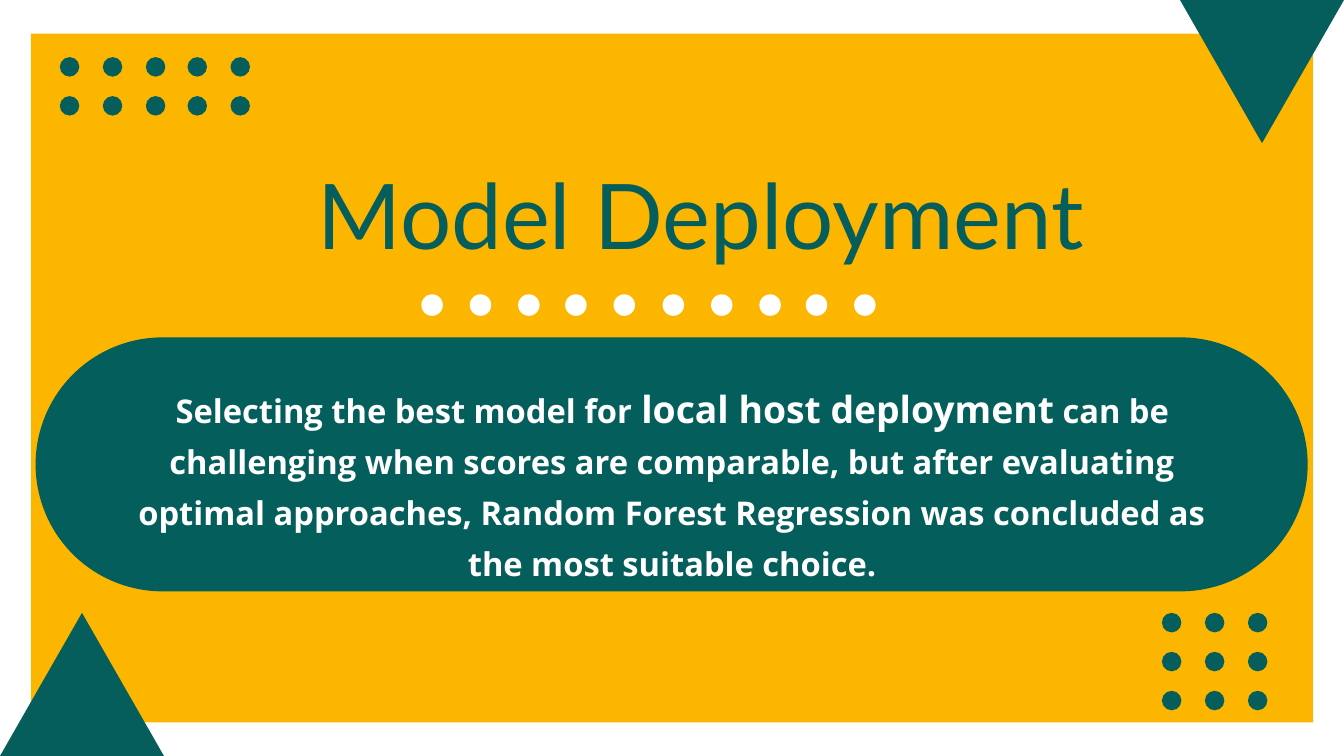
from dataclasses import dataclass

from pptx import Presentation
from pptx.dml.color import RGBColor
from pptx.enum.shapes import MSO_SHAPE
from pptx.enum.text import MSO_ANCHOR, MSO_AUTO_SIZE, PP_ALIGN
from pptx.util import Inches, Pt


@dataclass(frozen=True)
class Theme:
    amber: str = "FDB600"
    teal: str = "055E5C"
    pill: str = "045E5C"
    white: str = "FFFFFF"
    title_font: str = "Lato"
    body_font: str = "Open Sans"
    title_size: int = 97
    body_size: int = 35
    emphasis_size: int = 40


THEME = Theme()


def add_block(s, kind, left, top, width, height, color, rotation=0):
    """Add a plain filled preset shape."""
    sp = s.shapes.add_shape(kind, Inches(left), Inches(top), Inches(width), Inches(height))
    sp.shadow.inherit = False
    sp.fill.solid()
    sp.fill.fore_color.rgb = RGBColor.from_string(color)
    sp.line.fill.background()
    sp.rotation = rotation
    return sp


def add_dots(s, left, top, cols, rows, size, pitch_x, pitch_y, color):
    """Add a grid of round dots."""
    for row in range(rows):
        for col in range(cols):
            add_block(s, MSO_SHAPE.OVAL, left + col * pitch_x, top + row * pitch_y,
                      size, size, color)


def add_run(p, text, *, font, size, color, bold=False):
    """Add one formatted run to a paragraph."""
    r = p.add_run()
    r.text = text
    r.font.name = font
    r.font.size = Pt(size)
    r.font.bold = bold
    r.font.color.rgb = RGBColor.from_string(color)


def prepare_frame(sp, left, top, width, height, line_spacing):
    """Place a text holder and return its centred first paragraph."""
    sp.left, sp.top, sp.width, sp.height = map(Inches, (left, top, width, height))
    tf = sp.text_frame
    tf.margin_left = tf.margin_top = tf.margin_right = tf.margin_bottom = 0
    tf.word_wrap = True
    tf.auto_size = MSO_AUTO_SIZE.NONE
    tf.vertical_anchor = MSO_ANCHOR.TOP
    p = tf.paragraphs[0]
    p.alignment = PP_ALIGN.CENTER
    p.line_spacing = line_spacing
    return p


def add_title(s, text):
    sp = s.shapes.title
    # Bring the title in front of the background panel
    s.shapes._spTree.append(sp._element)
    p = prepare_frame(sp, 3.4, 2.37, 14.05, 1.63, 1.0)
    add_run(p, text, font=THEME.title_font, size=THEME.title_size, color=THEME.teal)


def add_statement(s, parts):
    sp = s.shapes.add_textbox(0, 0, 0, 0)
    p = prepare_frame(sp, 1.78, 5.54, 16.45, 3, 1.3)
    for text, size in parts:
        add_run(p, text, font=THEME.body_font, size=size, color=THEME.white, bold=True)


def main():
    prs = Presentation()
    prs.slide_width, prs.slide_height = Inches(20), Inches(11.25)
    s = prs.slides.add_slide(prs.slide_layouts[5])

    # Background panel and title
    add_block(s, MSO_SHAPE.RECTANGLE, 0.46, 0.5, 19.08, 10.25, THEME.amber)
    add_title(s, "Model Deployment")

    # Corner dot grids
    for left, cols in ((0.89, 3), (2.79, 2)):
        add_dots(s, left, 0.85, cols, 2, 0.29, 0.64, 0.58, THEME.teal)
    add_dots(s, 17.29, 9.12, 3, 3, 0.29, 0.64, 0.58, THEME.teal)

    # Dotted divider under the title
    for left, cols in ((6.27, 3), (8.41, 2), (9.86, 3), (11.99, 2)):
        add_dots(s, left, 4.38, cols, 1, 0.32, 0.72, 0, THEME.white)

    # Corner triangles
    for left, top, rotation in ((17.56, 0, 180), (0, 9.12, 0)):
        add_block(s, MSO_SHAPE.ISOSCELES_TRIANGLE, left, top, 2.44, 2.13,
                  THEME.teal, rotation)

    # Statement on a pill
    pill = add_block(s, MSO_SHAPE.ROUNDED_RECTANGLE, 0.53, 5.02, 18.93, 3.78, THEME.pill)
    pill.adjustments[0] = 0.5
    add_statement(s, (
        ("Selecting the best model for ", THEME.body_size),
        ("local host deployment", THEME.emphasis_size),
        (" can be challenging when scores are comparable, but after evaluating "
         "optimal approaches, Random Forest Regression was concluded as the most "
         "suitable choice.", THEME.body_size),
    ))

    prs.save("out.pptx")


if __name__ == "__main__":
    main()
